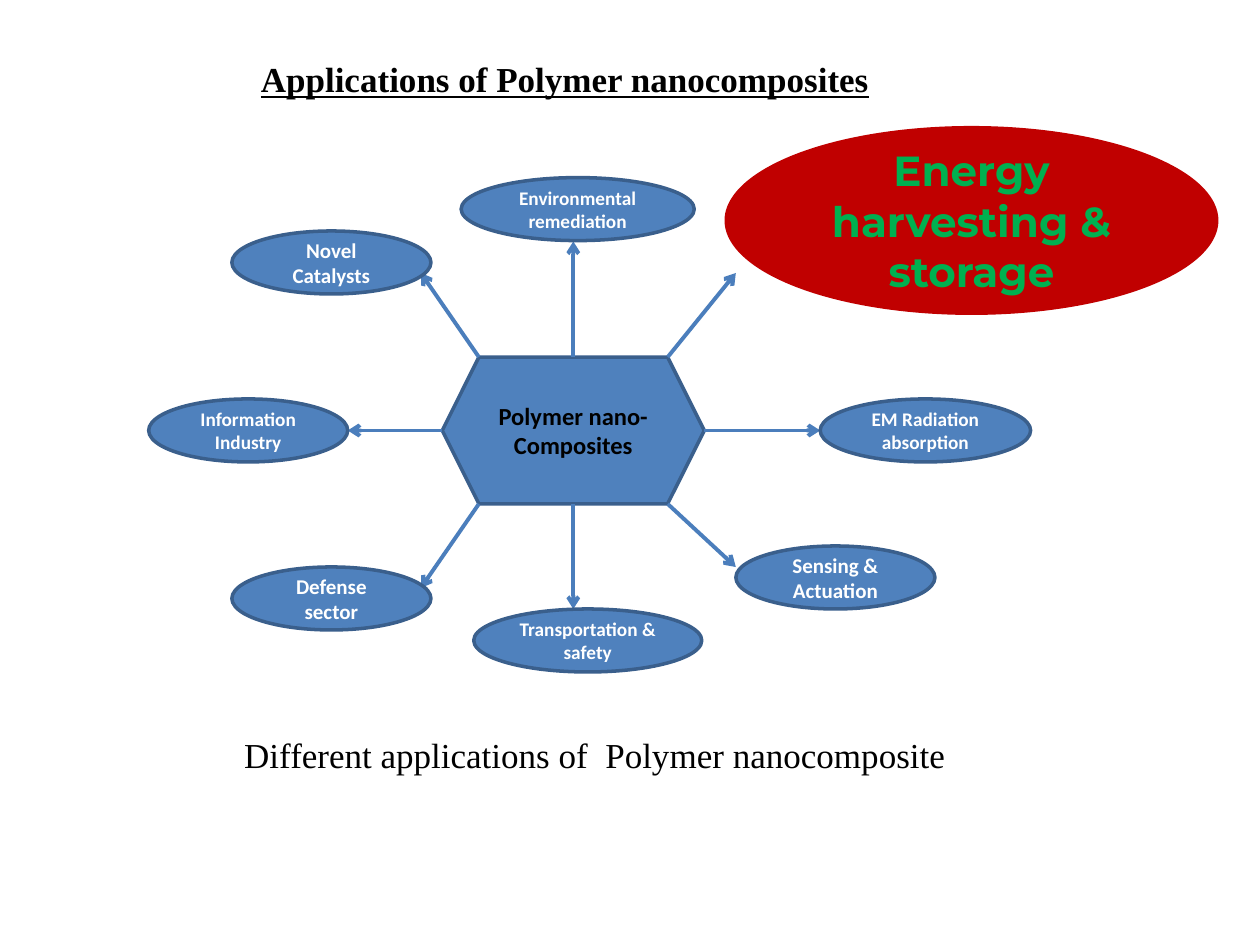
from lxml import etree
from pptx import Presentation, util as u
from pptx.dml.color import RGBColor
from pptx.enum import shapes, text
from pptx.oxml.ns import qn

COLS, ROWS = 100, 45
BLUE, EDGE, ARROW = "4F81BD", "3A5F8C", "4B7EBC"
HUB = (23.3, 11, 20.8, 7)  # inside the diagram box

# Satellites: text, box in the diagram, format changes
NODES = [
    ("Energy harvesting & storage", (45.7, 0, 39.2, 9),
     dict(size=24, name="Montserrat", ink="00B050", fill="C00000", edge=None)),
    ("EM Radiation\nabsorption", (53.3, 13, 16.7, 3), {}),
    ("Sensing & Actuation", (46.6, 20, 15.8, 3), dict(size=12)),
    ("Transportation & safety", (25.8, 23, 18.1, 3), {}),
    ("Defense sector", (6.6, 21, 15.8, 3), dict(size=12)),
    ("Information Industry", (0, 13, 15.8, 3), {}),
    ("Novel Catalysts", (6.6, 5, 15.8, 3), dict(size=12)),
    ("Environmental remediation", (24.8, 2.46, 18.5, 3), {}),
]

# Arrows: side of the hub (across, down), then the tip
RAYS = [
    (0, -1, 33.7, 5.5), (1, -1, 46.6, 7), (1, 0, 53.3, 14.5),
    (1, 1, 46.6, 21), (0, 1, 33.7, 23), (-1, 1, 21.6, 22),
    (-1, 0, 15.8, 14.5), (-1, -1, 21.6, 7),
]

deck = Presentation()
deck.slide_width, deck.slide_height = u.Inches(10), u.Inches(7.5)
page = deck.slides.add_slide(deck.slide_layouts[5])


def color(code):
    return RGBColor.from_string(code)


def across(cols):
    return round(deck.slide_width * cols / COLS)


def down(rows):
    return round(deck.slide_height * rows / ROWS)


def place(box):
    x, y, w, h = box
    return across(x), down(y), across(w), down(h)


def write(frame, words, ink, align, **form):
    frame.text = words
    for para in frame.paragraphs:
        para.alignment = align
        para.font.color.rgb = color(ink)
        for key, value in form.items():
            setattr(para.font, key, value)


def node(kind, box, words, size=11, name="Calibri", ink="FFFFFF",
         fill=BLUE, edge=EDGE):
    shape = page.shapes.add_shape(kind, *place(box))
    shape.shadow.inherit = False
    shape.fill.solid()
    shape.fill.fore_color.rgb = color(fill)
    if edge:
        shape.line.color.rgb = color(edge)
        shape.line.width = u.Pt(2)
    else:
        shape.line.fill.background()
    frame = shape.text_frame
    frame.word_wrap = True
    frame.vertical_anchor = text.MSO_ANCHOR.MIDDLE
    write(frame, words, ink, text.PP_ALIGN.CENTER,
          size=u.Pt(size), name=name, bold=True)


def arrow(start, end):
    link = page.shapes.add_connector(
        shapes.MSO_CONNECTOR.STRAIGHT, across(start[0]), down(start[1]),
        across(end[0]), down(end[1]))
    link.line.color.rgb = color(ARROW)
    link.line.width = u.Pt(2.25)
    etree.SubElement(link.line._get_or_add_ln(), qn("a:tailEnd"), type="arrow")
    etree.SubElement(link._element.spPr, qn("a:effectLst"))


def wheel(left, top):
    """Hub, rays and satellites, from the given corner."""
    def move(box):
        return (left + box[0], top + box[1], *box[2:])

    x, y, w, h = HUB
    node(shapes.MSO_SHAPE.HEXAGON, move(HUB), "Polymer nano-\nComposites",
         size=14, ink="000000")
    for dx, dy, *tip in RAYS:
        reach = 7.5 if dy else w / 2  # corners sit inside the side points
        start = (x + w / 2 + dx * reach, y + h / 2 + dy * h / 2)
        arrow(move(start), move(tip))
    for words, box, form in NODES:
        node(shapes.MSO_SHAPE.OVAL, move(box), words, **form)


def label(shape, box, words, **form):
    shape.left, shape.top, shape.width, shape.height = place(box)
    frame = shape.text_frame
    frame.word_wrap = False
    frame.vertical_anchor = text.MSO_ANCHOR.TOP
    write(frame, words, "000000", text.PP_ALIGN.LEFT,
          size=u.Pt(20), name="Times New Roman", **form)


# Title
label(page.shapes.title, (19.7, 2.46, 50.6, 2.64),
      "Applications of Polymer nanocomposites", bold=True, underline=True)

# Diagram
wheel(11.8, 6)

# Caption
spot = (18.4, 34.62, 58.7, 2.64)
label(page.shapes.add_textbox(*place(spot)), spot,
      "Different applications of  Polymer nanocomposite")

deck.save("out.pptx")
